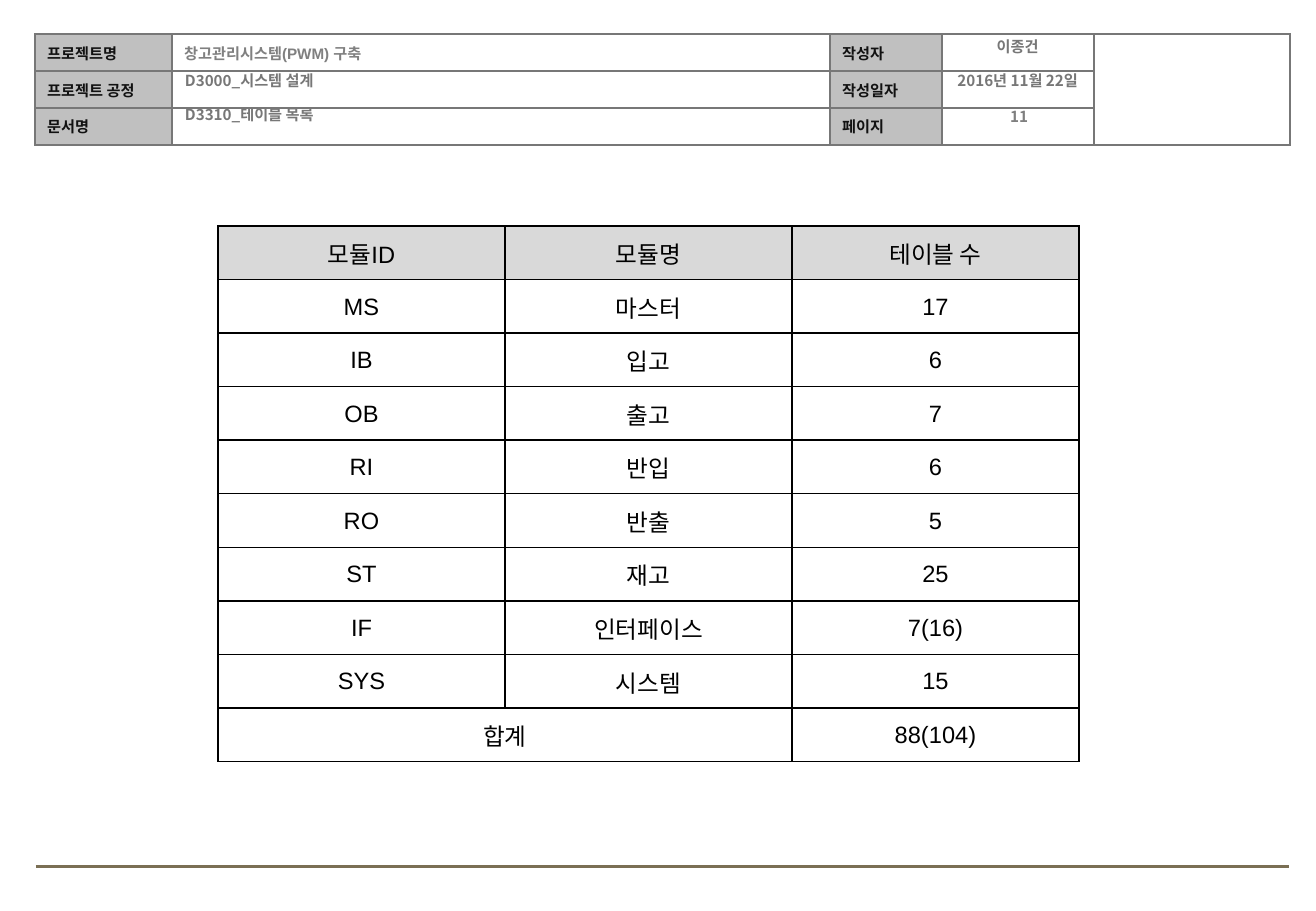
from pptx import Presentation
from pptx.dml.color import RGBColor
from pptx.enum.shapes import MSO_CONNECTOR
from pptx.enum.text import MSO_ANCHOR, PP_ALIGN
from pptx.oxml.ns import qn
from pptx.oxml.xmlchemy import OxmlElement
from pptx.util import Inches, Pt

# Content
HEADER_LABELS = [("프로젝트명", "작성자"), ("프로젝트 공정", "작성일자"), ("문서명", "페이지")]
PROJECT_NAME = "창고관리시스템(PWM) 구축"
HEADER_COLS = [137, 658, 112, 152, 196]
MODULES = [
    ("모듈ID", "모듈명", "테이블 수"),
    ("MS", "마스터", "17"),
    ("IB", "입고", "6"),
    ("OB", "출고", "7"),
    ("RI", "반입", "6"),
    ("RO", "반출", "5"),
    ("ST", "재고", "25"),
    ("IF", "인터페이스", "7(16)"),
    ("SYS", "시스템", "15"),
    ("합계", "", "88(104)"),
]

BLACK = RGBColor(0x00, 0x00, 0x00)
WHITE = RGBColor(0xFF, 0xFF, 0xFF)
LABEL_TEXT = RGBColor(0x11, 0x11, 0x11)
VALUE_TEXT = RGBColor(0x77, 0x77, 0x77)
PAGE_TEXT = RGBColor(0x7F, 0x7F, 0x7F)
PROJECT_TEXT = RGBColor(0x80, 0x80, 0x80)
LABEL_FILL = RGBColor(0xC0, 0xC0, 0xC0)
HEAD_FILL = RGBColor(0xD9, 0xD9, 0xD9)
FOOTER_LINE = RGBColor(0x7A, 0x6F, 0x54)

# Text boxes over the header: text, left, top, width, alignment, colour
HEADER_VALUES = [
    ("11", 943, 104, 152, PP_ALIGN.CENTER, PAGE_TEXT),
    ("이종건", 922, 34, 191, PP_ALIGN.CENTER, VALUE_TEXT),
    ("2016년 11월 22일", 922, 68, 191, PP_ALIGN.CENTER, VALUE_TEXT),
    ("D3000_시스템 설계", 173, 68, 583, PP_ALIGN.LEFT, VALUE_TEXT),
    ("D3310_테이블 목록", 173, 102, 583, PP_ALIGN.LEFT, VALUE_TEXT),
]

KOREAN = "Noto Sans CJK KR"
LATIN = "Arial"


def px(n):
    return round(n * 914400 / 121.5)


def write(tf, text, size, color, font=KOREAN, bold=False, align=PP_ALIGN.LEFT):
    p = tf.paragraphs[0]
    p.text = text
    p.alignment = align
    p.font.size = Pt(size)
    p.font.bold = bold
    p.font.color.rgb = color
    p.font.name = font
    ea = OxmlElement("a:ea")
    ea.set("typeface", KOREAN)
    p._p.pPr.find(qn("a:defRPr")).append(ea)


def set_margins(cell, left, top, right, bottom):
    cell.margin_left, cell.margin_top = px(left), px(top)
    cell.margin_right, cell.margin_bottom = px(right), px(bottom)


def style_cell(cell, fill, border):
    cell.vertical_anchor = MSO_ANCHOR.MIDDLE
    cell.fill.solid()
    cell.fill.fore_color.rgb = fill
    tcPr = cell._tc.get_or_add_tcPr()
    for i, side in enumerate("LRTB"):
        ln = OxmlElement(f"a:ln{side}")
        ln.set("w", str(Pt(1)))
        solid = OxmlElement("a:solidFill")
        clr = OxmlElement("a:srgbClr")
        clr.set("val", str(border))
        solid.append(clr)
        ln.append(solid)
        tcPr.insert(i, ln)


def add_plain_table(slide, rows, cols, left, top, width, height):
    table = slide.shapes.add_table(rows, cols, px(left), px(top), px(width), px(height)).table
    table.first_row = table.horz_banding = False
    return table


prs = Presentation()
prs.slide_width, prs.slide_height = Inches(10.83), Inches(7.5)
slide = prs.slides.add_slide(prs.slide_layouts[6])

# Document header
header = add_plain_table(slide, 3, 5, 35, 34, sum(HEADER_COLS), 111)
for col, width in zip(header.columns, HEADER_COLS):
    col.width = px(width)
for r, (left_label, right_label) in enumerate(HEADER_LABELS):
    texts = [left_label, PROJECT_NAME if r == 0 else "", right_label, "", ""]
    for c, text in enumerate(texts):
        cell = header.cell(r, c)
        is_label = c in (0, 2)
        style_cell(cell, LABEL_FILL if is_label else WHITE, VALUE_TEXT)
        if not text:
            set_margins(cell, 0, 0, 0, 0)
        write(cell.text_frame, text, 9, LABEL_TEXT if is_label else PROJECT_TEXT,
              KOREAN if is_label else LATIN, bold=True)
header.cell(0, 4).merge(header.cell(2, 4))

# Footer rule
rule = slide.shapes.add_connector(MSO_CONNECTOR.STRAIGHT, px(36), px(867), px(1289), px(867))
rule.line.color.rgb = FOOTER_LINE
rule.line.width = Pt(1.75)
rule._element.spPr.append(OxmlElement("a:effectLst"))

# Header values
for text, left, top, width, align, color in HEADER_VALUES:
    tf = slide.shapes.add_textbox(px(left), px(top), px(width), px(30)).text_frame
    tf.word_wrap = True
    tf.margin_top = px(3)
    write(tf, text, 9, color, bold=True, align=align)

# Tables per module
modules = add_plain_table(slide, len(MODULES), 3, 218, 226, 861, 536)
for r, row in enumerate(MODULES):
    for c, text in enumerate(row):
        cell = modules.cell(r, c)
        style_cell(cell, HEAD_FILL if r == 0 else WHITE, BLACK)
        set_margins(cell, 1, 1, 1, 0)
        write(cell.text_frame, text, 14, BLACK, LATIN, align=PP_ALIGN.CENTER)
total = len(MODULES) - 1
modules.cell(total, 0).merge(modules.cell(total, 1))

prs.save("out.pptx")
